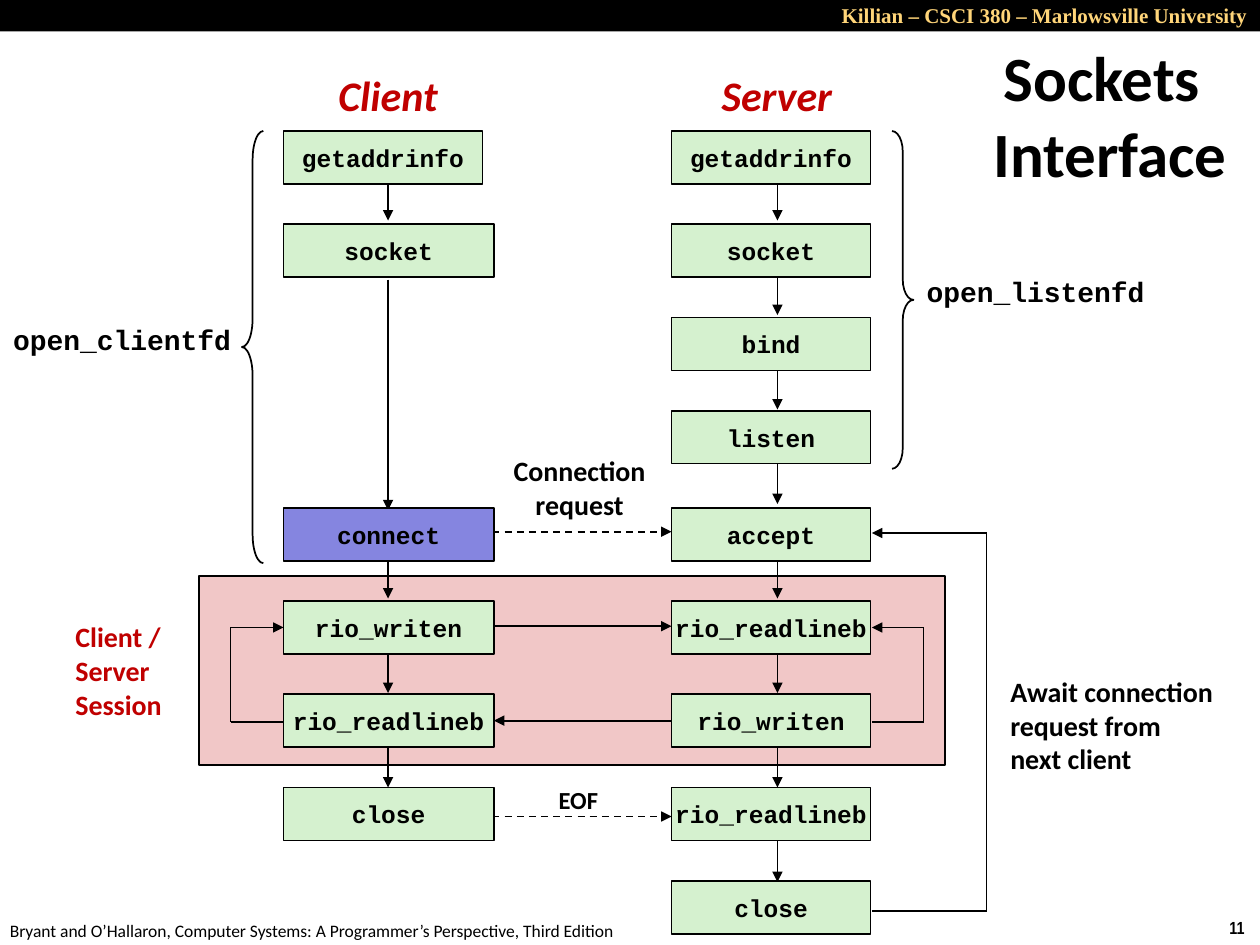
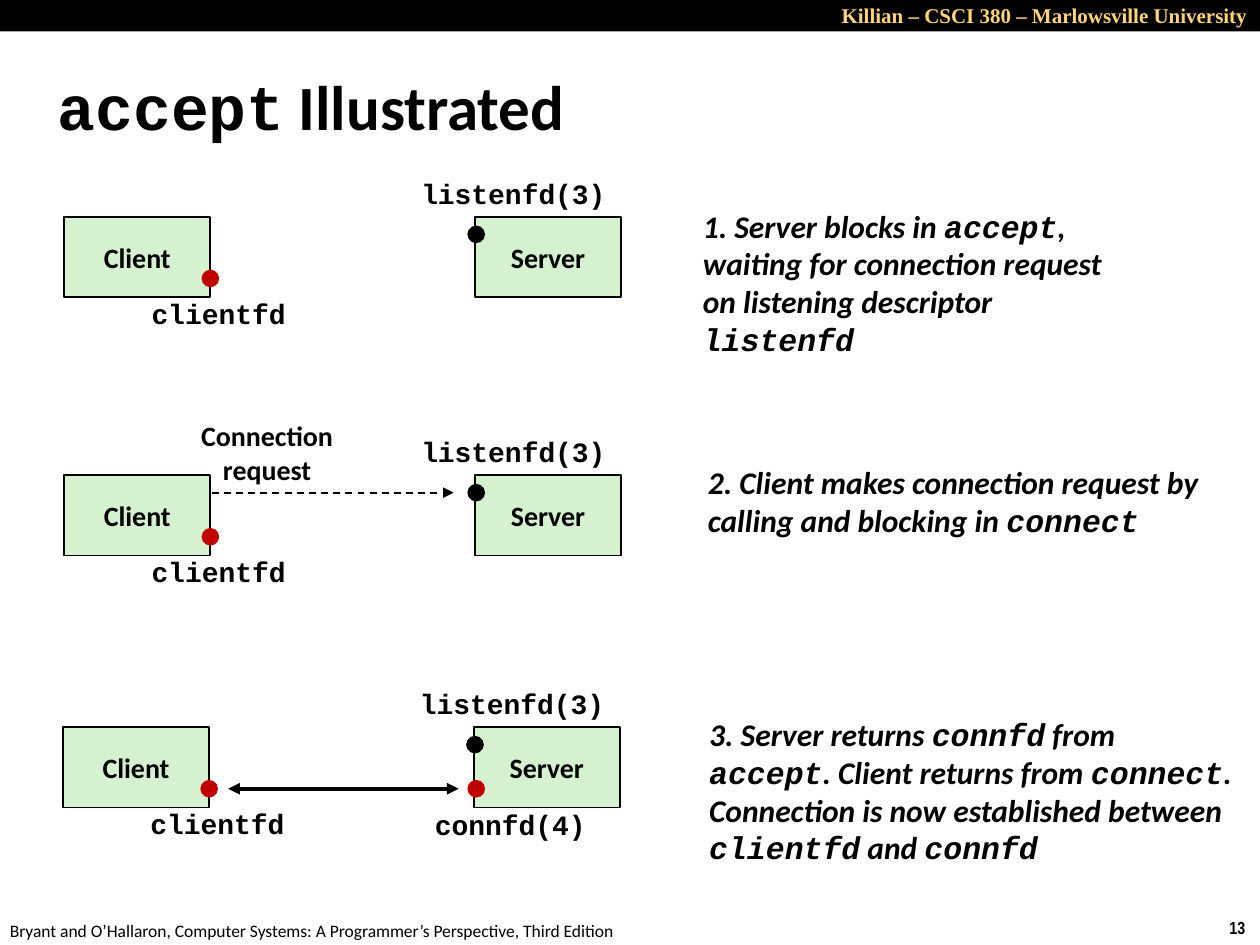
from collections import namedtuple
from itertools import cycle

from pptx import Presentation
from pptx.dml.color import RGBColor
from pptx.enum.dml import MSO_LINE
from pptx.enum.shapes import MSO_CONNECTOR, MSO_SHAPE
from pptx.enum.text import MSO_ANCHOR, MSO_AUTO_SIZE, PP_ALIGN
from pptx.oxml.ns import qn
from pptx.util import Inches, Pt
from lxml.etree import SubElement

COLORS = {
    "ink": "000000", "red": "C00000", "gold": "FFD579",
    "green": "D5F1CF", "blue": "8585E0", "pink": "F1C7C7",
}
SANS, MONO = "Calibri", "Courier New"
HEADER = "Killian – CSCI 380 – Marlowsville University"
FOOTER = ("Bryant and O’Hallaron, Computer Systems: "
          "A Programmer’s Perspective, Third Edition")

# Font formats; "color" is a key of COLORS, the rest are font attributes.
BASE = {"name": SANS, "size": Pt(16), "bold": True, "color": "ink"}
CODE = {**BASE, "name": MONO}
CALL = {**CODE, "size": Pt(14)}
TITLE = {**BASE, "size": Pt(36)}
ROLE = {**BASE, "size": Pt(24), "italic": True, "color": "red"}
STEP = {**BASE, "size": Pt(18), "italic": True}

Box = namedtuple("Box", "left top width height")


def inches(box):
    """Turn a box of numbers into lengths."""
    return [Inches(value) for value in box]


def rgb(name):
    """Look up a colour of the deck."""
    return RGBColor.from_string(COLORS[name])


def write(frame, text, style, align=PP_ALIGN.LEFT):
    """Fill a frame; lines become paragraphs, backticks switch to code."""
    for number, line in enumerate(text.split("\n")):
        paragraph = frame.add_paragraph() if number else frame.paragraphs[0]
        paragraph.alignment = align
        for part, face in zip(line.split("`"), cycle((style["name"], MONO))):
            if not part:
                continue
            run = paragraph.add_run()
            run.text = part
            for attribute, value in {**style, "name": face}.items():
                if attribute == "color":
                    run.font.color.rgb = rgb(value)
                else:
                    setattr(run.font, attribute, value)


def label(slide, box, text, style=BASE, align=PP_ALIGN.CENTER, **layout):
    """Place a text box; layout overrides the frame defaults."""
    frame = slide.shapes.add_textbox(*inches(box)).text_frame
    defaults = {"word_wrap": False, "vertical_anchor": MSO_ANCHOR.MIDDLE,
                "auto_size": MSO_AUTO_SIZE.SHAPE_TO_FIT_TEXT}
    for attribute, value in {**defaults, **layout}.items():
        setattr(frame, attribute, value)
    write(frame, text, style, align)
    return frame


def block(slide, box, fill=None, outline=True, kind=MSO_SHAPE.RECTANGLE):
    """Place a preset shape with a thin black outline or none."""
    shape = slide.shapes.add_shape(kind, *inches(box))
    shape.shadow.inherit = False
    if fill:
        shape.fill.solid()
        shape.fill.fore_color.rgb = rgb(fill)
    else:
        shape.fill.background()
    if outline:
        shape.line.color.rgb = rgb("ink")
        shape.line.width = Pt(1)
    else:
        shape.line.fill.background()
    return shape


def node(slide, box, text, style=CALL, fill="green"):
    """Place a box of the diagram with its centred name."""
    frame = block(slide, box, fill).text_frame
    frame.word_wrap = False
    frame.vertical_anchor = MSO_ANCHOR.MIDDLE
    write(frame, text, style, PP_ALIGN.CENTER)


def route(slide, *points, dashed=False, weight=1, both_ways=False):
    """Join points with straight lines that end in an arrowhead."""
    for start, end in zip(points, points[1:]):
        segment = slide.shapes.add_connector(
            MSO_CONNECTOR.STRAIGHT, *inches(start + end))
        segment.line.color.rgb = rgb("ink")
        segment.line.width = Pt(weight)
        if dashed:
            segment.line.dash_style = MSO_LINE.DASH
        properties = segment.element.spPr
        stroke = properties.find(qn("a:ln"))
        if both_ways:
            SubElement(stroke, qn("a:headEnd"), type="triangle")
        if end == points[-1]:
            SubElement(stroke, qn("a:tailEnd"), type="triangle")
        SubElement(properties, qn("a:effectLst"))


def title(slide, box, text, align=PP_ALIGN.LEFT):
    """Place the slide title with its hanging indent."""
    frame = label(slide, box, text, TITLE, align, word_wrap=True,
                  auto_size=MSO_AUTO_SIZE.NONE)
    indent = frame.paragraphs[0]._p.get_or_add_pPr()
    indent.set("marL", str(Inches(0.13)))
    indent.set("indent", str(Inches(-0.13)))


def furniture(slide, number):
    """Place page number, footer and header band."""
    small = {**BASE, "size": Pt(10)}
    label(slide, Box(9.66, 7.23, 0.34, 0.27), str(number),
          {**small, "name": "Arial Narrow"}, PP_ALIGN.LEFT,
          vertical_anchor=MSO_ANCHOR.TOP)
    label(slide, Box(-0.02, 7.25, 5.08, 0.27), FOOTER,
          {**small, "bold": False}, PP_ALIGN.LEFT,
          vertical_anchor=MSO_ANCHOR.TOP)
    block(slide, Box(0, 0, 10, 0.25), "ink", outline=False)
    label(slide, Box(4.5, -0.03, 5.5, 0.3), HEADER,
          {**BASE, "name": "Times New Roman", "size": Pt(12), "color": "gold"},
          PP_ALIGN.RIGHT, word_wrap=True, vertical_anchor=MSO_ANCHOR.TOP)


CLIENT_X, SERVER_X = 2.25, 5.33
CLIENT_W, SERVER_W = 1.67, 1.58
CLIENT_EDGE, SERVER_EDGE = CLIENT_X + CLIENT_W, 6.92
CALL_H = 0.42
ROWS = [1.04 + 0.74 * row + (0.03 if row > 3 else 0) for row in range(9)]
CLIENT_CALLS = {0: "getaddrinfo", 1: "socket", 4: "connect",
                5: "rio_writen", 6: "rio_readlineb", 7: "close"}
SERVER_CALLS = dict(enumerate((
    "getaddrinfo", "socket", "bind", "listen", "accept",
    "rio_readlineb", "rio_writen", "rio_readlineb", "close")))


def session(slide, box):
    """Place the session area with its two repeat loops."""
    block(slide, box, "pink")
    low, high = box.top + 1.16, box.top + 0.41
    for edge, reach in ((SERVER_EDGE, 7.33), (CLIENT_X, 1.83)):
        route(slide, (edge, low), (reach, low), (reach, high), (edge, high))
    label(slide, Box(box.left - 1.08, box.top + 0.3, 0.92, 0.9),
          "Client / Server\nSession", {**BASE, "color": "red"},
          PP_ALIGN.LEFT, word_wrap=True)


def call_column(slide, left, width, center, calls, arrow_rows):
    """Place one column of calls with the arrows between them."""
    for row in arrow_rows:
        start = 1.41 + 0.75 * row
        route(slide, (center, start), (center, start + 0.34))
    for row, call in calls.items():
        wide = SERVER_W if call == "getaddrinfo" else width
        node(slide, Box(left, ROWS[row], wide, CALL_H), call,
             fill="blue" if call == "connect" else "green")


def brace(slide, box, kind, bend, text, text_left):
    """Place a brace and the name of the helper it stands for."""
    curve = block(slide, box, kind=kind)
    curve.adjustments[0] = bend
    middle = box.top + box.height / 2
    label(slide, Box(text_left, middle - 0.25, 1.94, 0.37), text, CODE)


def sockets_slide(slide):
    """Build the flow of socket calls of client and server."""
    furniture(slide, 11)
    session(slide, Box(1.58, 4.57, 5.92, 1.5))
    title(slide, Box(7.58, 0.25, 2.33, 1.31), "Sockets Interface",
          PP_ALIGN.CENTER)
    label(slide, Box(2.58, 0.5, 1, 0.5), "Client", ROLE)
    label(slide, Box(5.62, 0.5, 1.09, 0.5), "Server", ROLE)

    for y in (4.22, 6.48):
        route(slide, (3.33, y), (SERVER_X, y), dashed=True)
    route(slide, (CLIENT_EDGE, 4.97), (SERVER_X, 4.97))
    route(slide, (SERVER_X, 5.72), (CLIENT_EDGE, 5.72))
    route(slide, (3.08, 2.22), (3.08, 4.05))
    call_column(slide, CLIENT_X, CLIENT_W, 3.08, CLIENT_CALLS, (0, 4, 5, 6))
    call_column(slide, SERVER_X, SERVER_W, 6.17, SERVER_CALLS, range(8))
    route(slide, (SERVER_EDGE, 7.23), (7.83, 7.23), (7.83, 4.23),
          (SERVER_EDGE, 4.23))

    label(slide, Box(3.97, 3.55, 1.26, 0.64), "Connection\nrequest")
    label(slide, Box(4.33, 6.18, 0.52, 0.34), "EOF", {**BASE, "size": Pt(14)})
    label(slide, Box(7.92, 5.3, 1.83, 0.91),
          "Await connection\nrequest from\nnext client", align=PP_ALIGN.LEFT)
    brace(slide, Box(7.08, 1.04, 0.17, 2.68), MSO_SHAPE.RIGHT_BRACE, 0.96,
          "open_listenfd", 7.25)
    brace(slide, Box(1.92, 1.04, 0.17, 3.43), MSO_SHAPE.LEFT_BRACE, 1.33,
          "open_clientfd", 0)


def descriptor(slide, x, y, color):
    """Place the dot of a descriptor, centred on a box edge."""
    size = 0.14
    block(slide, Box(x - size / 2, y, size, size), color, outline=False,
          kind=MSO_SHAPE.OVAL)


def stage(slide, box, text, text_box):
    """Place client, server, their descriptors and the explanation."""
    left, top, width, height = box
    party_w = 1.16
    server_x = left + width - party_w
    node(slide, Box(left, top, party_w, height), "Client", BASE)
    node(slide, Box(server_x, top, party_w, height), "Server", BASE)
    label(slide, Box(left + 2.73, top - 0.37, 1.67, 0.37),
          "listenfd(3)", CODE)
    label(slide, Box(left + 0.59, top + 0.58, 1.27, 0.37), "clientfd", CODE)
    descriptor(slide, left + party_w, top + 0.42, "red")
    descriptor(slide, server_x + 0.01, top + 0.07, "ink")
    label(slide, text_box, text, STEP, PP_ALIGN.LEFT, word_wrap=True)


def accept_slide(slide):
    """Build the three stages of accepting a connection."""
    furniture(slide, 13)
    title(slide, Box(0.36, 0.52, 9.17, 0.63), "`accept` Illustrated")
    stage(slide, Box(0.51, 1.72, 4.42, 0.64),
          "1. Server blocks in `accept`, waiting for connection request "
          "on listening descriptor `listenfd`", Box(5.48, 1.59, 3.6, 1.3))
    stage(slide, Box(0.51, 3.77, 4.42, 0.64),
          "2. Client makes connection request by calling and blocking in "
          "`connect`", Box(5.52, 3.62, 4.23, 0.71))
    stage(slide, Box(0.5, 5.77, 4.42, 0.64),
          "3. Server returns `connfd` from `accept`. Client returns from "
          "`connect`. Connection is now established between `clientfd` and "
          "`connfd`", Box(5.53, 5.62, 4.39, 1.31))

    route(slide, (1.68, 3.91), (3.6, 3.91), dashed=True)
    label(slide, Box(1.49, 3.27, 1.26, 0.64), "Connection\nrequest")
    route(slide, (1.81, 6.26), (3.64, 6.26), weight=2.25, both_ways=True)
    label(slide, Box(3.35, 6.36, 1.4, 0.37), "connfd(4)", CODE)
    descriptor(slide, 3.78, 6.19, "red")


deck = Presentation()
deck.slide_width, deck.slide_height = Inches(10), Inches(7.5)
for build in (sockets_slide, accept_slide):
    build(deck.slides.add_slide(deck.slide_layouts[6]))
deck.save("out.pptx")
